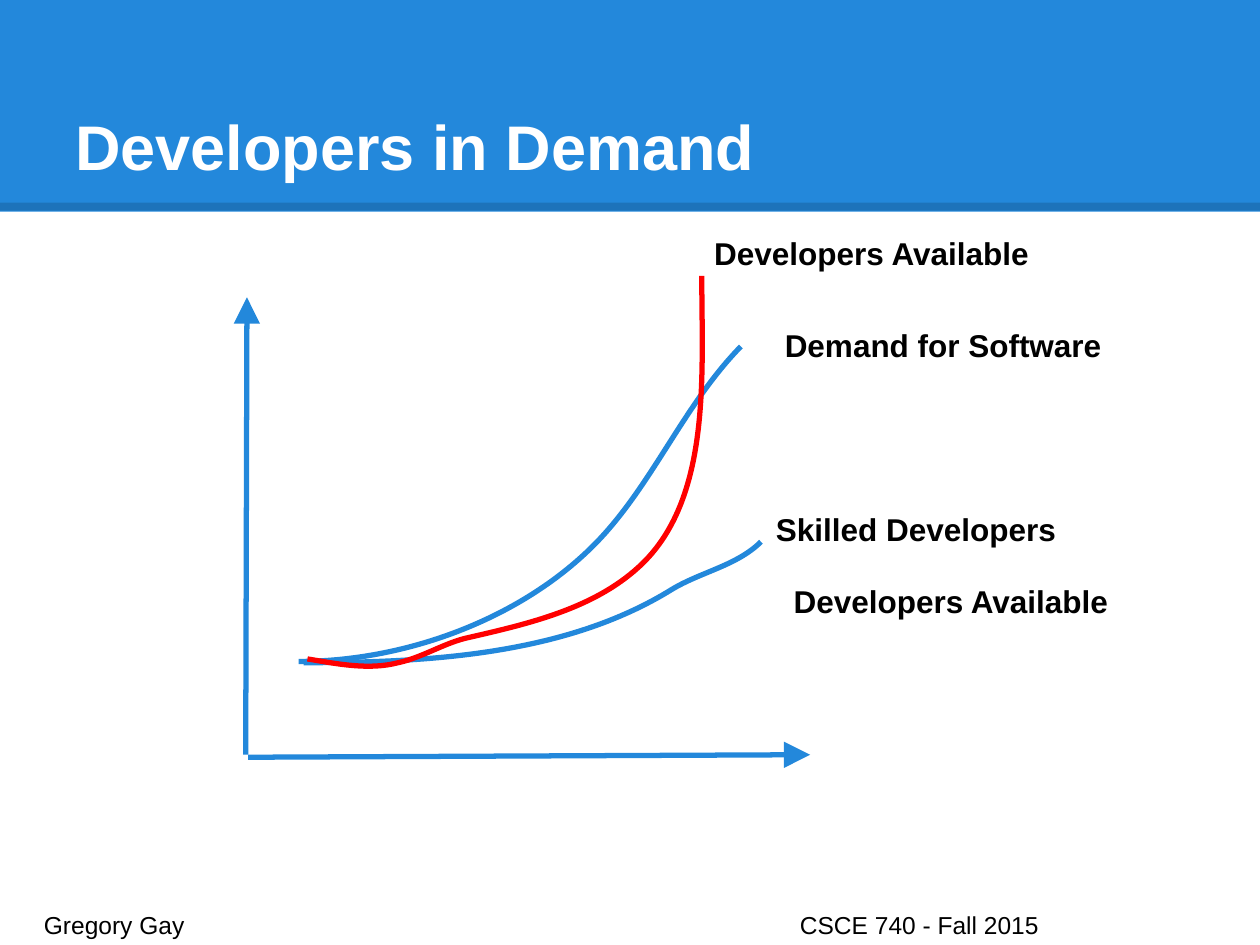
import pptx
import pptx.util
import pptx.dml.color
import pptx.enum.shapes
import pptx.enum.text
import pptx.oxml
import pptx.oxml.ns
from pptx.util import Inches

THEME = {
    "font": "Arial",
    "blue": "2388DB", "red": "FF0000", "black": "000000", "white": "FFFFFF",
    "title": 36, "label": 18, "footer": 14,
    "stroke": 3, "band_edge": 4.5, "edge_opacity": 15,
}

# Content, in inches
TITLE = "Developers in Demand"
FOOTER = ("Gregory Gay", "CSCE 740 - Fall 2015")
FOOTER_TAB = 6
AXES = [((1.95, 5.99), (1.96, 2.36)), ((1.97, 6.01), (6.43, 5.99))]
LABELS = [
    ("Demand for Software", 6.13, 2.49),
    ("Developers Available", 6.2, 4.52),
    ("Developers Available", 5.57, 1.76),
    ("Skilled Developers", 6.06, 3.95),
]
LABEL_SIZE = (3.15, 0.78)
# Each curve: colour, start, then cubic pieces (two controls and an end)
CURVES = [
    ("blue", (2.37, 5.25), [
        ((3.21, 5.25), (4.12, 4.92), (4.71, 4.33)),
        ((5.17, 3.87), (5.42, 3.22), (5.88, 2.75))]),
    ("blue", (2.41, 5.26), [
        ((3.4, 5.26), (4.49, 5.2), (5.33, 4.68)),
        ((5.56, 4.54), (5.85, 4.49), (6.04, 4.3))]),
    ("red", (2.44, 5.23), [
        ((2.68, 5.27), (2.93, 5.32), (3.16, 5.26)),
        ((3.35, 5.22), (3.53, 5.1), (3.72, 5.06)),
        ((4.2, 4.95), (4.71, 4.83), (5.07, 4.5)),
        ((5.65, 3.97), (5.57, 2.98), (5.57, 2.19))]),
]


def color(name):
    return pptx.dml.color.RGBColor.from_string(THEME[name])


def add_xml(parent, tag, **attributes):
    child = pptx.oxml.parse_xml(f"<a:{tag} {pptx.oxml.ns.nsdecls('a')}/>")
    for key, value in attributes.items():
        child.set(key, str(value))
    parent.append(child)
    return child


def add_text(slide, parts, box, size, ink="black", bold=False, anchor="TOP", tab=None):
    frame = slide.shapes.add_textbox(*map(Inches, box)).text_frame
    frame.word_wrap = True
    frame.vertical_anchor = getattr(pptx.enum.text.MSO_ANCHOR, anchor)
    frame.margin_left = frame.margin_right = Inches(0.1)
    frame.margin_top = frame.margin_bottom = Inches(0.1)
    paragraph = frame.paragraphs[0]
    if tab:
        stops = add_xml(paragraph._p.get_or_add_pPr(), "tabLst")
        add_xml(stops, "tab", pos=Inches(tab), algn="l")
    for index, part in enumerate(parts):
        run = paragraph.add_run()
        run.text = "\t" + part if index else part
        run.font.name = THEME["font"]
        run.font.size = pptx.util.Pt(THEME[size])
        run.font.bold = bold
        run.font.color.rgb = color(ink)


def add_line(slide, start, end, ink, width):
    line = slide.shapes.add_connector(
        pptx.enum.shapes.MSO_CONNECTOR.STRAIGHT, *map(Inches, start + end))
    line.line.color.rgb = color(ink)
    line.line.width = pptx.util.Pt(THEME[width])
    add_xml(line._element.spPr, "effectLst")
    return line


def add_curve(slide, ink, start, pieces):
    # Freeform points are whole numbers, so they are given in EMU
    builder = slide.shapes.build_freeform(*map(Inches, start), scale=1.0)
    builder.add_line_segments(
        [tuple(map(Inches, point)) for piece in pieces for point in piece], close=False)
    curve = builder.convert_to_shape()
    curve.shadow.inherit = False
    curve.fill.background()
    curve.line.color.rgb = color(ink)
    curve.line.width = pptx.util.Pt(THEME["stroke"])
    # Join every three straight steps into one cubic piece
    steps = curve._element.findall(".//" + pptx.oxml.ns.qn("a:lnTo"))
    outline = steps[0].getparent()
    for first in range(0, len(steps), 3):
        cubic = add_xml(outline, "cubicBezTo")
        for step in steps[first:first + 3]:
            cubic.append(step[0])
            outline.remove(step)


def main():
    deck = pptx.Presentation()
    deck.slide_width, deck.slide_height = Inches(10), Inches(7.5)
    slide = deck.slides.add_slide(deck.slide_layouts[6])
    slide.background.fill.solid()
    slide.background.fill.fore_color.rgb = color("white")

    # Title band with its translucent lower edge
    band = slide.shapes.add_shape(
        pptx.enum.shapes.MSO_SHAPE.RECTANGLE, 0, 0, Inches(10), Inches(1.68))
    band.shadow.inherit = False
    band.fill.solid()
    band.fill.fore_color.rgb = color("blue")
    band.line.fill.background()
    edge = add_line(slide, (0, 1.64), (10, 1.64), "black", "band_edge")
    edge_color = edge._element.spPr.find(".//" + pptx.oxml.ns.qn("a:srgbClr"))
    add_xml(edge_color, "alpha", val=THEME["edge_opacity"] * 1000)
    add_text(slide, [TITLE], (0.5, 0.3, 9, 1.25), "title", "white", True, "BOTTOM")

    # Axes
    for start, end in AXES:
        axis = add_line(slide, start, end, "blue", "stroke")
        add_xml(axis.line._get_or_add_ln(), "tailEnd", type="triangle", w="lg", len="lg")

    # Curves and their labels
    for curve in CURVES:
        add_curve(slide, *curve)
    for label, left, top in LABELS:
        add_text(slide, [label], (left, top, *LABEL_SIZE), "label", bold=True)

    # Footer
    add_text(slide, FOOTER, (0.25, 7.12, 9.51, 0.3), "footer", tab=FOOTER_TAB)

    deck.save("out.pptx")


if __name__ == "__main__":
    main()
